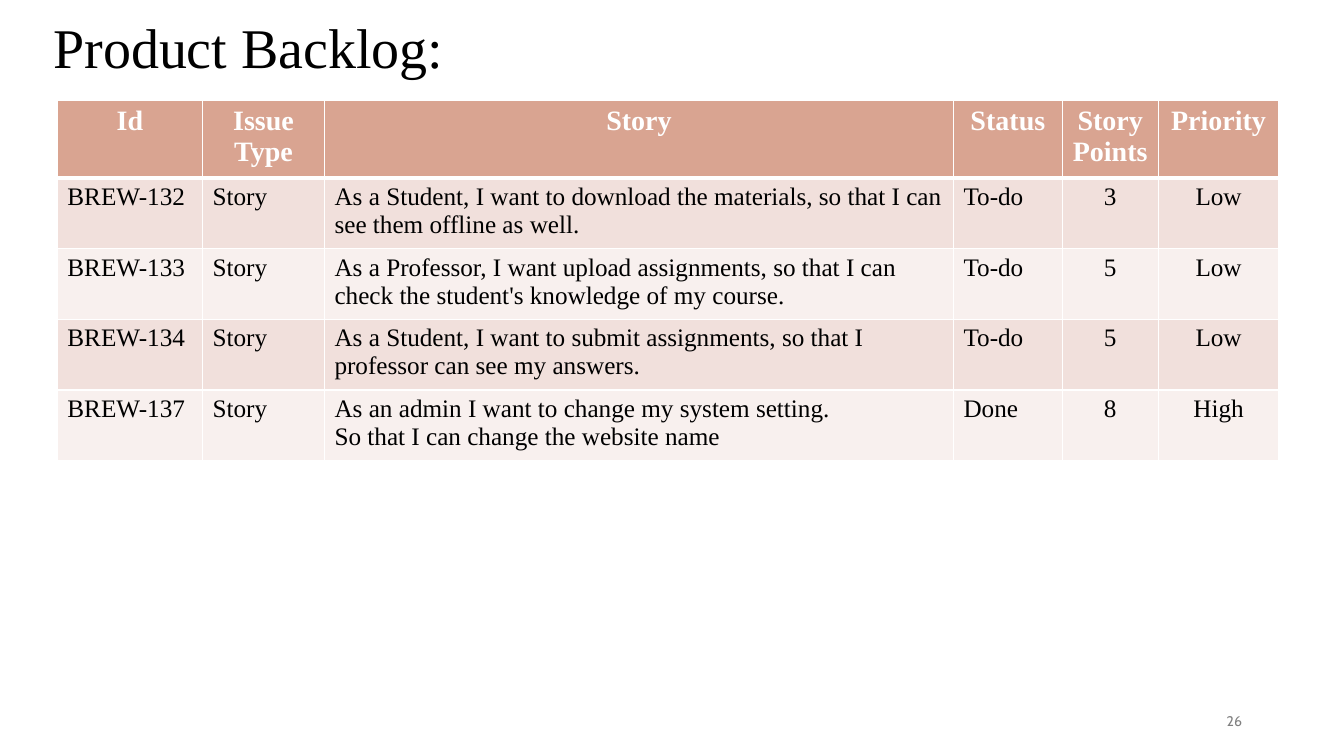
from dataclasses import dataclass

from lxml.etree import SubElement
from pptx import Presentation
from pptx.dml.color import RGBColor
from pptx.enum.text import MSO_ANCHOR, PP_ALIGN
from pptx.oxml.ns import qn
from pptx.util import Pt


@dataclass(frozen=True)
class Theme:
    font: str = "Times New Roman"
    number_font: str = "Cabin"
    ink: str = "000000"
    white: str = "FFFFFF"
    grey: str = "808080"
    header: str = "D9A491"
    bands: tuple = ("F1E0DC", "F8F0EE")
    title_size: int = 40
    header_size: int = 20
    body_size: int = 18
    number_size: int = 10
    thin: int = 1
    thick: int = 3


THEME = Theme()

COLUMNS = [
    ("Id", 103.7, PP_ALIGN.LEFT),
    ("Issue Type", 87.1, PP_ALIGN.LEFT),
    ("Story", 449.3, PP_ALIGN.LEFT),
    ("Status", 77.8, PP_ALIGN.LEFT),
    ("Story Points", 68.4, PP_ALIGN.CENTER),
    ("Priority", 86.4, PP_ALIGN.CENTER),
]
BACKLOG = [
    ("BREW-132", "Story", "As a Student, I want to download the materials, "
     "so that I can see them offline as well.", "To-do", "3", "Low"),
    ("BREW-133", "Story", "As a Professor, I want upload assignments, "
     "so that I can check the student's knowledge of my course.", "To-do", "5", "Low"),
    ("BREW-134", "Story", "As a Student, I want to submit assignments, "
     "so that I professor can see my answers.", "To-do", "5", "Low"),
    ("BREW-137", "Story", "As an admin I want to change my system setting.\n"
     "So that I can change the website name", "Done", "8", "High"),
]
HEADER_HEIGHT, ROW_HEIGHT = 51.4, 47.1


def format_text(tf, font, size, color, align, bold=False):
    for p in tf.paragraphs:
        p.alignment = align
        for r in p.runs:
            r.font.name = font
            r.font.size = Pt(size)
            r.font.bold = bold
            r.font.color.rgb = RGBColor.from_string(color)


def add_label(s, box, text, font, size, color, align, line_spacing=1.0):
    tf = s.shapes.add_textbox(*map(Pt, box)).text_frame
    tf.word_wrap = True
    tf.vertical_anchor = MSO_ANCHOR.MIDDLE
    tf.text = text
    tf.paragraphs[0].line_spacing = line_spacing
    format_text(tf, font, size, color, align)


def set_borders(cell, top, bottom):
    tc_pr = cell._tc.get_or_add_tcPr()
    widths = {"a:lnL": THEME.thin, "a:lnR": THEME.thin, "a:lnT": top, "a:lnB": bottom}
    for tag, width in widths.items():
        ln = SubElement(tc_pr, qn(tag), w=str(Pt(width)))
        fill = SubElement(ln, qn("a:solidFill"))
        SubElement(fill, qn("a:srgbClr"), val=THEME.white)


def fill_cell(cell, text, row, align):
    is_header = row == 0
    cell.text = text
    set_borders(cell, THEME.thick if row == 1 else THEME.thin,
                THEME.thick if is_header else THEME.thin)
    cell.fill.solid()
    cell.fill.fore_color.rgb = RGBColor.from_string(
        THEME.header if is_header else THEME.bands[(row - 1) % 2])
    if is_header:
        format_text(cell.text_frame, THEME.font, THEME.header_size, THEME.white,
                    PP_ALIGN.CENTER, True)
    else:
        format_text(cell.text_frame, THEME.font, THEME.body_size, THEME.ink, align)


def add_backlog(s, left, top):
    names, widths, aligns = zip(*COLUMNS)
    rows = [names, *BACKLOG]
    height = HEADER_HEIGHT + ROW_HEIGHT * len(BACKLOG)
    table = s.shapes.add_table(len(rows), len(names), Pt(left), Pt(top),
                               Pt(sum(widths)), Pt(height)).table
    for column, width in zip(table.columns, widths):
        column.width = Pt(width)
    for i, values in enumerate(rows):
        table.rows[i].height = Pt(ROW_HEIGHT if i else HEADER_HEIGHT)
        for j, text in enumerate(values):
            fill_cell(table.cell(i, j), text, i, aligns[j])


def add_backlog_slide(prs):
    s = prs.slides.add_slide(prs.slide_layouts[6])
    add_label(s, (31, 10.8, 828, 50.4), "Product Backlog:", THEME.font,
              THEME.title_size, THEME.ink, PP_ALIGN.LEFT, 0.9)
    add_backlog(s, 41, 72)
    add_label(s, (678.2, 500.4, 216, 28.8), "26", THEME.number_font,
              THEME.number_size, THEME.grey, PP_ALIGN.RIGHT)


def main():
    prs = Presentation()
    prs.slide_width, prs.slide_height = Pt(960), Pt(540)
    add_backlog_slide(prs)
    prs.save("out.pptx")


if __name__ == "__main__":
    main()
